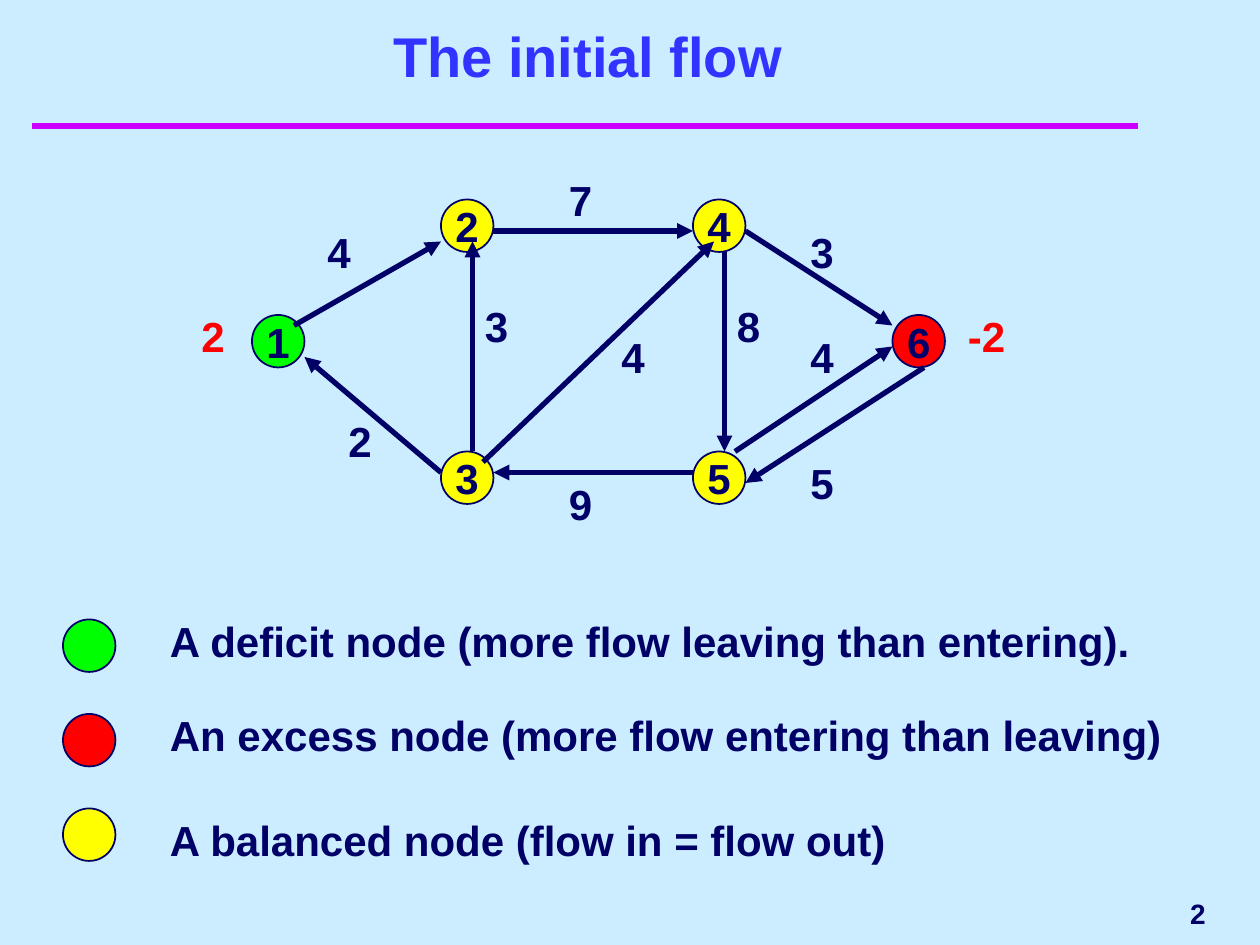
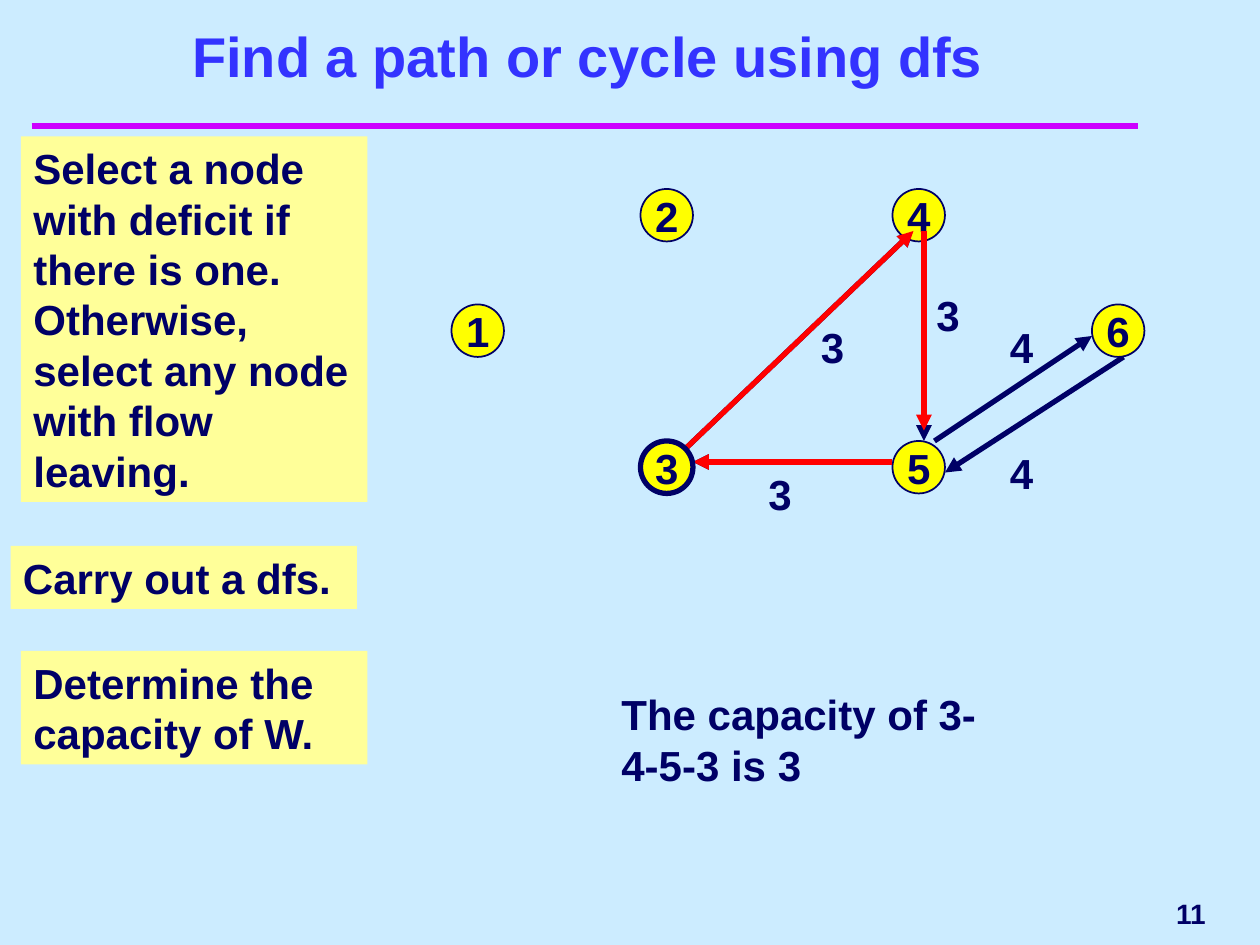
from pptx import Presentation
from pptx.dml.color import RGBColor
from pptx.enum.shapes import MSO_CONNECTOR, MSO_SHAPE
from pptx.enum.text import MSO_ANCHOR, PP_ALIGN
from pptx.oxml.ns import qn
from pptx.util import Cm, Pt
from lxml import etree

LEFT, CENTER, RIGHT = PP_ALIGN.LEFT, PP_ALIGN.CENTER, PP_ALIGN.RIGHT
TOP, MIDDLE, BOTTOM = MSO_ANCHOR.TOP, MSO_ANCHOR.MIDDLE, MSO_ANCHOR.BOTTOM
OVAL, RECTANGLE = MSO_SHAPE.OVAL, MSO_SHAPE.RECTANGLE
STRAIGHT = MSO_CONNECTOR.STRAIGHT

FONT = "Arial"
COLORS = {
    "background": "CCECFF",
    "rule": "CC00FF",
    "title": "3333FF",
    "ink": "000066",
    "deficit": "00FF00",
    "excess": "FF0000",
    "balanced": "FFFF00",
    "cycle": "FF0000",
    "note": "FFFF99",
}

# Positions are in grid steps, twelve to the inch.
STEP_CM = 2.54 / 12
NODE_SIZE = 5
LINE_HEIGHT = 6

NODES = {"1": (24, 30), "2": (42, 19), "3": (42, 43),
         "4": (66, 19), "5": (66, 43), "6": (85, 30)}

# Arc: start, end, corner of the flow label
ARCS = {
    "1-2": ((28, 31), (42, 23), (30, 21)),
    "3-1": ((42, 45), (29, 34), (32, 39)),
    "3-2": ((45, 43), (45, 23), (45, 28)),
    "5-3": ((66, 45), (47, 45), (53, 45)),
    "3-4": ((46, 44), (68, 23), (58, 31)),
    "2-4": ((47, 22), (66, 22), (53, 16)),
    "4-5": ((69, 24), (69, 43), (69, 28)),
    "5-6": ((70, 43), (85, 33), (76, 31)),
    "6-5": ((88, 35), (71, 46), (76, 43)),
    "4-6": ((71, 22), (85, 31), (76, 21)),
}


def grid(*steps):
    return [Cm(step * STEP_CM) for step in steps]


def shift(point, offset):
    return point[0] + offset[0], point[1] + offset[1]


def rgb(name):
    return RGBColor.from_string(COLORS[name])


def write(box, text, size=24, color="ink", align=LEFT, anchor=TOP, wrap=True):
    frame = box.text_frame
    frame.word_wrap = wrap
    frame.vertical_anchor = anchor
    para = frame.paragraphs[0]
    para.alignment = align
    span = para.add_run()
    span.text = text
    span.font.name = FONT
    span.font.size = Pt(size)
    span.font.bold = True
    span.font.color.rgb = rgb(color)


def add_text(page, text, left, top, width, height=LINE_HEIGHT, **style):
    box = page.shapes.add_textbox(*grid(left, top, width, height))
    write(box, text, **style)


def add_filled(page, kind, place, fill):
    shape = page.shapes.add_shape(kind, *grid(*place))
    shape.shadow.inherit = False
    shape.fill.solid()
    shape.fill.fore_color.rgb = rgb(fill)
    return shape


def add_node(page, corner, fill="balanced", name=None, outline=1):
    node = add_filled(page, OVAL, (*corner, NODE_SIZE, NODE_SIZE), fill)
    node.line.color.rgb = rgb("ink")
    node.line.width = Pt(outline)
    if name:
        write(node, name, align=CENTER, anchor=MIDDLE, wrap=False)


def add_note(page, text, left, top, height):
    note = add_filled(page, RECTANGLE, (left, top, 33, height), "note")
    note.line.fill.background()
    write(note, text)


def add_line(page, start, end, color="ink", width=3, arrow=True):
    line = page.shapes.add_connector(STRAIGHT, *grid(*start, *end))
    line.line.color.rgb = rgb(color)
    line.line.width = Pt(width)
    properties = line._element.spPr
    if arrow:
        outline = properties.find(qn("a:ln"))
        etree.SubElement(outline, qn("a:tailEnd"), type="triangle")
    etree.SubElement(properties, qn("a:effectLst"))


def add_arc(page, arc, offset=(0, 0), color="ink"):
    start, end, _ = ARCS[arc]
    add_line(page, shift(start, offset), shift(end, offset), color)


def add_flows(page, flows, offset=(0, 0)):
    """Draw the arcs, then their flow values."""
    for arc in flows:
        add_arc(page, arc, offset)
    for arc, flow in flows.items():
        add_text(page, flow, *shift(ARCS[arc][2], offset), 8)


def add_page(deck, title, number):
    page = deck.slides.add_slide(deck.slide_layouts[6])
    page.background.fill.solid()
    page.background.fill.fore_color.rgb = rgb("background")
    add_line(page, (3, 12), (108.4, 12), "rule", 4, arrow=False)
    add_text(page, number, 93, 84, 23, size=16, align=RIGHT, anchor=MIDDLE)
    add_text(page, title, 5, 4, 102, 5, size=32, color="title",
             align=CENTER, anchor=BOTTOM)
    return page


def build_initial_flow(deck):
    page = add_page(deck, "The initial flow", "2")
    special = {"1": "deficit", "6": "excess"}
    for name, corner in NODES.items():
        add_node(page, corner, special.get(name, "balanced"), name)
    add_flows(page, {"1-2": "4", "3-1": "2", "3-2": "3", "5-3": "9",
                     "3-4": "4", "2-4": "7", "4-5": "8", "5-6": "4",
                     "6-5": "5", "4-6": "3"})

    legend = [
        ("deficit", "A deficit node (more flow leaving than entering).", 58, 94),
        ("excess", "An excess node (more flow entering than leaving)", 67, 101),
        ("balanced", "A balanced node (flow in = flow out)", 77, 79),
    ]
    for row, (kind, meaning, top, width) in enumerate(legend):
        add_node(page, (6, 59 + 9 * row), kind)
        add_text(page, meaning, 15, top, width)

    add_text(page, "2", 18, 29, 6, color="excess")
    add_text(page, "-2", 91, 29, 8, color="excess")


def build_cycle_search(deck):
    page = add_page(deck, "Find a path or cycle using dfs", "11")
    offset = (19, -1)
    add_flows(page, {"5-3": "3", "3-4": "3", "4-5": "3",
                     "5-6": "4", "6-5": "4"}, offset)
    for name in "52416":
        add_node(page, shift(NODES[name], offset), name=name)

    add_arc(page, "3-4", offset, "cycle")
    add_arc(page, "4-5", shift(offset, (0, -1)), "cycle")
    add_arc(page, "5-3", offset, "cycle")
    add_node(page, shift(NODES["3"], offset), name="3", outline=3)

    add_note(page, "Carry out a dfs.", 1, 52, LINE_HEIGHT)
    add_note(page, "Select a node with deficit if there is one. Otherwise, "
                   "select any node with flow leaving.", 2, 13, 34.8)
    add_note(page, "Determine the capacity of W.", 2, 62, 10.8)
    add_text(page, "The capacity of 3-4-5-3 is 3", 58, 65, 39, 10.8)


def main():
    deck = Presentation()
    deck.slide_width = Cm(25.4)
    deck.slide_height = Cm(19.05)
    build_initial_flow(deck)
    build_cycle_search(deck)
    deck.save("out.pptx")


if __name__ == "__main__":
    main()
